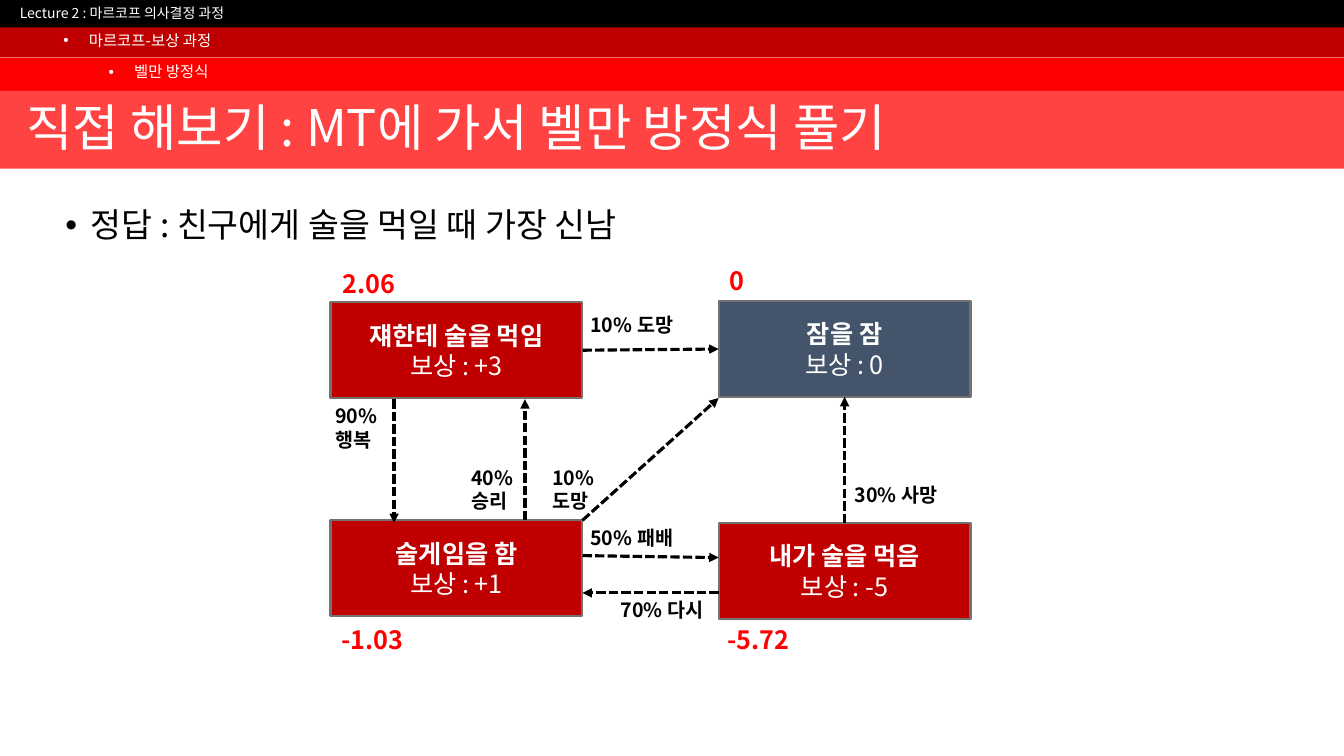
from lxml.etree import SubElement
from pptx import Presentation
from pptx.dml.color import RGBColor
from pptx.enum.dml import MSO_LINE_DASH_STYLE as Dash
from pptx.enum.shapes import MSO_CONNECTOR as Connector, MSO_SHAPE as Shape
from pptx.enum.text import MSO_ANCHOR as Anchor, MSO_AUTO_SIZE as AutoSize, PP_ALIGN as Align
from pptx.oxml.ns import qn
from pptx.util import Cm, Pt

FONT = "Noto Sans CJK KR"
COLORS = {
    "black": "000000", "white": "FFFFFF", "dark red": "C00000", "red": "FF0000",
    "light red": "FF4343", "slate": "44546A", "gray": "767171",
}
PAGE_WIDTH, PAGE_HEIGHT = 33.87, 19.05

# top, height, color
BANDS = [
    (0, 0.71, "black"), (0.69, 0.76, "dark red"),
    (1.45, 0.86, "red"), (2.29, 1.96, "light red"),
]
TITLE = "직접 해보기 : MT에 가서 벨만 방정식 풀기"
TITLE_AREA = (0.41, 2.31, 33.15, 1.96)
LECTURE = "Lecture 2 : 마르코프 의사결정 과정"
LECTURE_AREA = (0.25, 0, 18.95, 0.69)

# text, area, size, color
BULLETS = [
    ("정답 : 친구에게 술을 먹일 때 가장 신남", (1.4, 5.13, 31.17, 12.57), 24, "black"),
    ("마르코프-보상 과정", (1.35, 0.71, 22.38, 0.71), 11, "white"),
    ("벨만 방정식", (2.49, 1.5, 21.95, 0.71), 11, "white"),
]

STATE_WIDTH, STATE_HEIGHT = 6.35, 2.41
LEFT, RIGHT = 8.33, 18.11
LEFT_EDGE = LEFT + STATE_WIDTH
# key: name, reward, left, top, color
STATES = {
    "friend": ("쟤한테 술을 먹임", "보상 : +3", LEFT, 7.62, "dark red"),
    "sleep": ("잠을 잠", "보상 : 0", RIGHT, 7.59, "slate"),
    "game": ("술게임을 함", "보상 : +1", LEFT, 13.11, "dark red"),
    "drink": ("내가 술을 먹음", "보상 : -5", RIGHT, 13.18, "dark red"),
}
# state and side at each end
JOINED_ARROWS = [(("friend", 3), ("sleep", 1)), (("drink", 0), ("sleep", 2))]
# start and end points
FREE_ARROWS = [
    ((13.23, 13.11), (13.23, 10.06)),
    ((LEFT_EDGE, 14), (RIGHT, 14.05)),
    ((RIGHT, 14.94), (LEFT_EDGE, 14.94)),
    ((LEFT_EDGE, 13.11), (RIGHT, 10.03)),
    ((9.93, 10.06), (9.93, 13.18)),
]
# lines, left, top, width
CHANCES = [
    (["90% 행복"], 8.2, 10.06, 1.75),
    (["40%", "승리"], 11.63, 11.61, 1.75),
    (["30% 사망"], 21.29, 12.04, 2.97),
    (["70% 다시"], 15.39, 14.94, 2.74),
    (["50% 패배"], 14.63, 13.13, 3.2),
    (["10%", "도망"], 13.67, 11.61, 1.75),
    (["10% 도망"], 14.63, 7.75, 3.45),
]
# value, left, top
VALUES = [
    ("2.06", 8.38, 6.63), ("0", 18.14, 6.55),
    ("-1.03", 8.36, 15.6), ("-5.72", 18.08, 15.6),
]


def rgb(color):
    return RGBColor.from_string(COLORS[color])


def write(frame, lines, size, color, bold=False):
    """Put each line in its own paragraph and return the paragraphs."""
    frame.word_wrap = True
    frame.text = "\n".join(lines)
    for para in frame.paragraphs:
        font = para.font
        font.name, font.size, font.bold = FONT, Pt(size), bold
        font.color.rgb = rgb(color)
        for span in para.runs:
            SubElement(span._r.get_or_add_rPr(), qn("a:ea"), typeface=FONT)
    return frame.paragraphs


def add_text(page, lines, area, size, color, bold=False):
    box = page.shapes.add_textbox(*map(Cm, area))
    paras = write(box.text_frame, lines, size, color, bold)
    box.text_frame.auto_size = AutoSize.SHAPE_TO_FIT_TEXT
    return box, paras


def add_bullet(page, text, area, size, color):
    box, (para,) = add_text(page, [text], area, size, color)
    box.text_frame.auto_size = AutoSize.NONE
    para.line_spacing, para.space_before = 0.9, Pt(10)
    props = para._p.get_or_add_pPr()
    props.set("marL", str(Cm(0.64)))
    props.set("indent", str(-Cm(0.64)))
    bullet_font = props.makeelement(qn("a:buFont"), typeface="Arial")
    bullet = props.makeelement(qn("a:buChar"), char="•")
    defaults = props.find(qn("a:defRPr"))
    defaults.addprevious(bullet_font)
    defaults.addprevious(bullet)


def add_rectangle(page, area, color):
    box = page.shapes.add_shape(Shape.RECTANGLE, *map(Cm, area))
    box.shadow.inherit = False
    box.fill.solid()
    box.fill.fore_color.rgb = rgb(color)
    box.line.fill.background()
    return box


def add_state(page, name, reward, left, top, color):
    box = add_rectangle(page, (left, top, STATE_WIDTH, STATE_HEIGHT), color)
    box.line.color.rgb = rgb("gray")
    box.line.width = Pt(1.5)
    box.text_frame.vertical_anchor = Anchor.MIDDLE
    paras = write(box.text_frame, [name, reward], 18, "white")
    paras[0].font.bold = True
    for para in paras:
        para.alignment = Align.CENTER
    return box


def add_arrow(page, start=(0, 0), end=(0, 0)):
    arrow = page.shapes.add_connector(Connector.STRAIGHT, *map(Cm, start + end))
    arrow.line.color.rgb = rgb("black")
    arrow.line.width = Pt(2.25)
    arrow.line.dash_style = Dash.SQUARE_DOT
    SubElement(arrow.line._get_or_add_ln(), qn("a:tailEnd"), type="triangle")
    SubElement(arrow._element.spPr, qn("a:effectLst"))
    return arrow


def main():
    deck = Presentation()
    deck.slide_width, deck.slide_height = Cm(PAGE_WIDTH), Cm(PAGE_HEIGHT)
    page = deck.slides.add_slide(deck.slide_layouts[5])

    for top, height, color in BANDS:
        add_rectangle(page, (0, top, PAGE_WIDTH, height), color)
    add_text(page, [LECTURE], LECTURE_AREA, 10, "white")

    title = page.shapes.title
    title.left, title.top, title.width, title.height = map(Cm, TITLE_AREA)
    (para,) = write(title.text_frame, [TITLE], 36, "white")
    para.alignment, para.line_spacing = Align.LEFT, 0.9
    title.text_frame.vertical_anchor = Anchor.MIDDLE
    title.text_frame.auto_size = AutoSize.NONE
    page.shapes._spTree.append(title._element)  # in front of the bands

    for bullet in BULLETS:
        add_bullet(page, *bullet)

    boxes = {key: add_state(page, *state) for key, state in STATES.items()}
    for (source, source_side), (target, target_side) in JOINED_ARROWS:
        arrow = add_arrow(page)
        arrow.begin_connect(boxes[source], source_side)
        arrow.end_connect(boxes[target], target_side)
    for start, end in FREE_ARROWS:
        add_arrow(page, start, end)

    for lines, left, top, width in CHANCES:
        height = 0.86 if width > 2 else 1.45
        add_text(page, lines, (left, top, width, height), 14, "black", True)
    for value, left, top in VALUES:
        add_text(page, [value], (left, top, 6.73, 1.02), 18, "red", True)

    deck.save("out.pptx")


if __name__ == "__main__":
    main()
